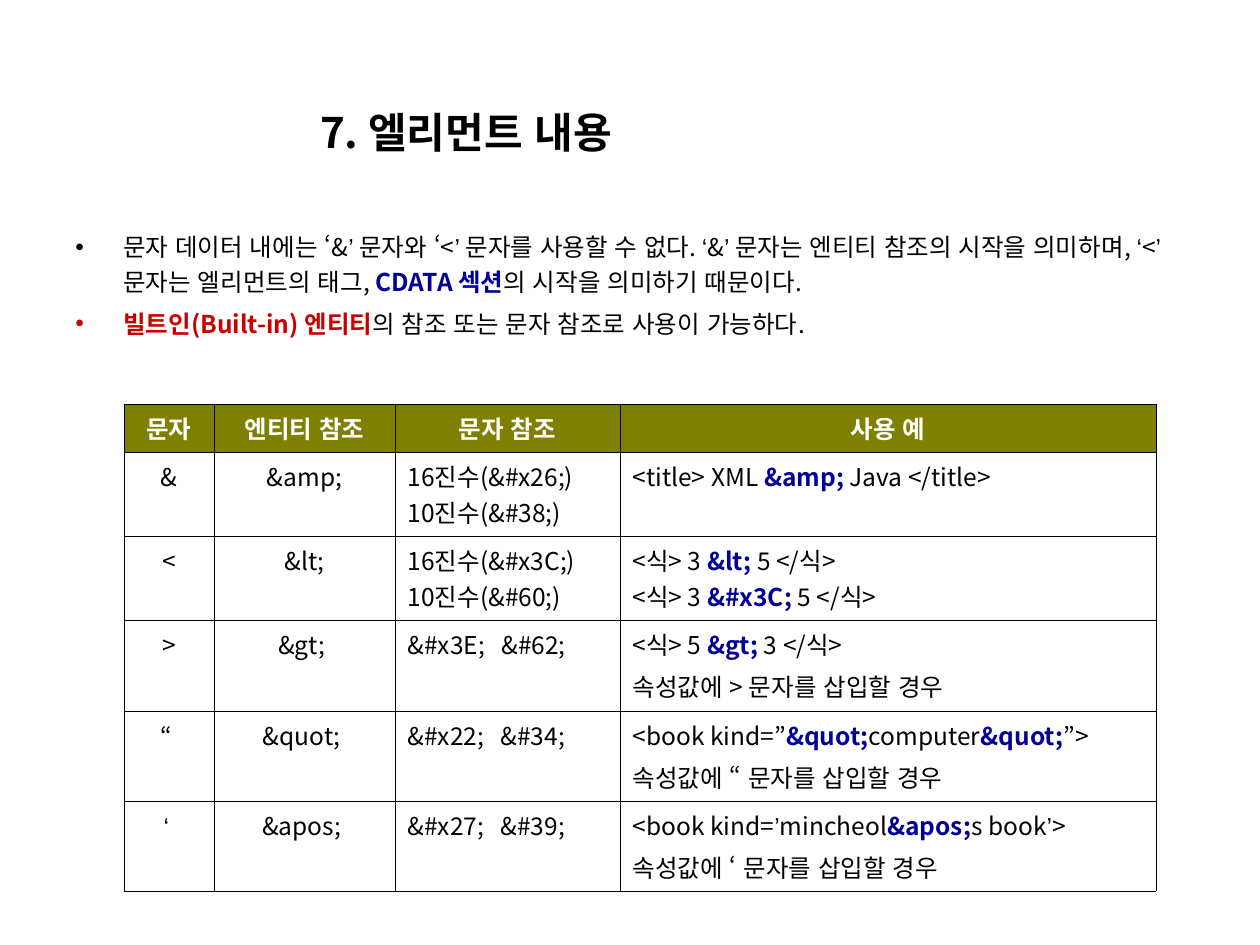
from itertools import groupby

from lxml import etree
from pptx import Presentation, util as u
from pptx.dml.color import RGBColor
from pptx.enum import lang, text
from pptx.oxml.ns import qn

PX = 914400 / 126
THEME = dict(
    font="Noto Sans CJK KR", quote_font="Arial",
    black="000000", white="FFFFFF", blue="000099", red="CA0000", olive="808000",
    title=24, body=14, gap=3.5, leading=1.2,
)
HEADER = ["문자", "엔티티 참조", "문자 참조", "사용 예"]
ROWS = [
    ["&", "&amp;", "16진수(&#x26;)\n10진수(&#38;)", "<title> XML *&amp;* Java </title>"],
    ["<", "&lt;", "16진수(&#x3C;)\n10진수(&#60;)",
     "<식> 3 *&lt;* 5 </식>\n<식> 3 *&#x3C;* 5 </식>"],
    [">", "&gt; ", "&#x3E;   &#62;", "<식> 5 *&gt;* 3 </식>\n속성값에 > 문자를 삽입할 경우"],
    ["“ ", "&quot; ", "&#x22;   &#34;",
     "<book kind=”*&quot;*computer*&quot;*”>\n속성값에 “ 문자를 삽입할 경우"],
    ["‘ ", "&apos; ", "&#x27;   &#39;",
     "<book kind=’mincheol*&apos;*s book’>\n속성값에 ‘ 문자를 삽입할 경우"],
]
BULLETS = [
    ("문자 데이터 내에는 ‘&’ 문자와 ‘<’ 문자를 사용할 수 없다. ‘&’ 문자는 엔티티 참조의 "
     "시작을 의미하며, ‘<’ 문자는 엘리먼트의 태그, *CDATA 섹션*의 시작을 의미하기 때문이다.",
     "blue", "black"),
    ("*빌트인(Built-in) 엔티티*의 참조 또는 문자 참조로 사용이 가능하다.", "red", "red"),
]


def px(n):
    return u.Emu(round(n * PX))


def write(p, words, size="body", color="black", accent="blue", bold=False):
    """Fill a paragraph; *starred* parts are bold accents, single quotes use their own font."""
    for i, part in enumerate(words.split("*")):
        marked = i % 2 == 1
        for is_quote, chars in groupby(part, lambda c: c in "‘’"):
            r = p.add_run()
            r.text = "".join(chars)
            formats = dict(name=THEME["quote_font" if is_quote else "font"],
                           size=u.Pt(THEME[size]), bold=bold or marked,
                           language_id=lang.MSO_LANGUAGE_ID.KOREAN)
            for key, value in formats.items():
                setattr(r.font, key, value)
            r.font.color.rgb = RGBColor.from_string(THEME[accent if marked else color])
            etree.SubElement(r.font._element, qn("a:ea"), typeface=THEME["font"])


prs = Presentation()
prs.slide_width, prs.slide_height = px(1260), px(945)
s = prs.slides.add_slide(prs.slide_layouts[5])

# Title
title = s.shapes.title
title.left, title.top, title.width, title.height = px(212), px(103), px(508), px(58)
tf = title.text_frame
tf.auto_size = text.MSO_AUTO_SIZE.NONE
tf.vertical_anchor = text.MSO_ANCHOR.MIDDLE
p = tf.paragraphs[0]
p.alignment = text.PP_ALIGN.CENTER
write(p, "7. 엘리먼트 내용", size="title", bold=True)

# Bullets
tf = s.shapes.add_textbox(px(63), px(220), px(1133), px(142)).text_frame
tf.word_wrap = True
for i, (words, accent, bullet_color) in enumerate(BULLETS):
    p = tf.add_paragraph() if i else tf.paragraphs[0]
    p.line_spacing = THEME["leading"]
    p.space_before = u.Pt(THEME["gap"])
    pPr = p._p.get_or_add_pPr()
    pPr.set("marL", str(px(48)))
    pPr.set("indent", str(-px(48)))
    clr = etree.SubElement(pPr, qn("a:buClr"))
    etree.SubElement(clr, qn("a:srgbClr"), val=THEME[bullet_color])
    etree.SubElement(pPr, qn("a:buFont"), typeface=THEME["quote_font"])
    etree.SubElement(pPr, qn("a:buChar"), char="•")
    write(p, words, accent=accent)

# Entity table
col_widths = [90, 181, 225, 536]
row_heights = [48, 84, 84, 91, 90, 90]
table = s.shapes.add_table(len(row_heights), len(col_widths), px(124), px(404),
                           px(sum(col_widths)), px(sum(row_heights))).table
table.horz_banding = False
for col, width in zip(table.columns, col_widths):
    col.width = px(width)
for row, height in zip(table.rows, row_heights):
    row.height = px(height)

for i, row in enumerate([HEADER] + ROWS):
    for j, words in enumerate(row):
        cell = table.cell(i, j)
        tcPr = cell._tc.get_or_add_tcPr()
        for side in ("lnL", "lnR", "lnT", "lnB"):
            ln = etree.SubElement(tcPr, qn(f"a:{side}"), w=str(u.Pt(0.45)))
            fill = etree.SubElement(ln, qn("a:solidFill"))
            etree.SubElement(fill, qn("a:srgbClr"), val=THEME["black"])
        cell.fill.solid()
        cell.fill.fore_color.rgb = RGBColor.from_string(THEME["white" if i else "olive"])
        for k, line in enumerate(words.split("\n")):
            p = cell.text_frame.add_paragraph() if k else cell.text_frame.paragraphs[0]
            if i == 0 or j < 2:
                p.alignment = text.PP_ALIGN.CENTER
            if i > 2:
                p.space_before = u.Pt(THEME["gap"])
            write(p, line, color="black" if i else "white", bold=i == 0)

prs.save("out.pptx")
